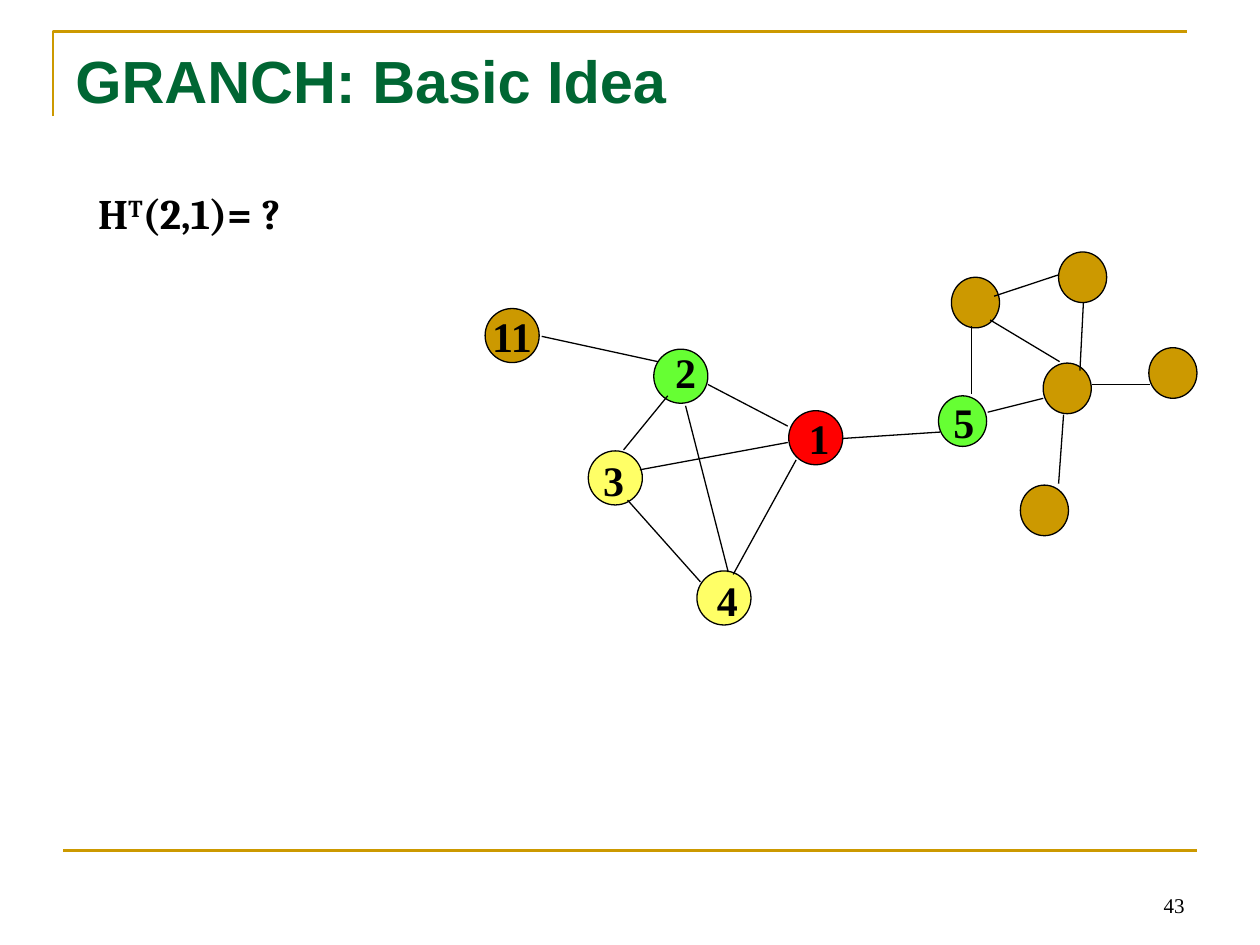
from pptx import Presentation
from pptx.dml.color import RGBColor
from pptx.enum.shapes import MSO_CONNECTOR, MSO_SHAPE
from pptx.enum.text import MSO_ANCHOR, PP_ALIGN
from pptx.oxml.ns import qn
from pptx.util import Cm, Pt
from lxml.etree import SubElement

COLORS = {
    "black": "000000", "gold": "CC9900", "title": "006633",
    "red": "FF0000", "green": "66FF33", "yellow": "FFFF66",
}
LARGE, SMALL = (1.09, 1.09), (0.97, 1.02)
LABEL_SIZE = (0.81, 1.27)
LABEL_FONT = {"name": "Times New Roman", "size": Pt(24), "bold": True}

NODES = [
    (15.9, 8.28, LARGE, "red", ""),
    (9.78, 6.22, LARGE, "gold", "11"),
    (13.18, 7.04, LARGE, "green", ""),
    (11.86, 9.09, LARGE, "yellow", ""),
    (14.05, 11.51, LARGE, "yellow", ""),
    (21.34, 5.08, SMALL, "gold", ""),
    (19.18, 5.59, SMALL, "gold", ""),
    (21.03, 7.32, SMALL, "gold", ""),
    (18.92, 7.98, SMALL, "green", ""),
    (20.57, 9.78, SMALL, "gold", ""),
    (23.16, 7.01, SMALL, "gold", ""),
]
EDGES = [
    (10.92, 6.78, 13.26, 7.29),
    (14.27, 7.75, 15.88, 8.59),
    (14.78, 11.58, 16.05, 9.27),
    (12.65, 10.08, 14.12, 11.73),
    (16.97, 8.84, 18.95, 8.71),
    (19.58, 6.58, 19.58, 7.95),
    (19.91, 8.31, 21.03, 8.03),
    (21.44, 8.36, 21.34, 9.75),
    (22.02, 7.75, 23.19, 7.75),
    (19.96, 6.45, 21.36, 7.29),
    (20.04, 5.97, 21.34, 5.54),
    (12.57, 9.07, 13.46, 7.98),
    (13.82, 8.18, 14.68, 11.53),
    (21.84, 6.1, 21.77, 7.47),
    (15.88, 8.92, 12.9, 9.47),
]
LABELS = {
    "1": (16.05, 8.2),
    "2": (13.36, 6.86),
    "3": (11.91, 9.04),
    "4": (14.2, 11.46),
    "5": (18.97, 7.87),
}


class GraphSlide:
    def __init__(self, slide):
        self.slide = slide
        self.shapes = slide.shapes

    def color(self, name):
        return RGBColor.from_string(COLORS[name])

    def outline(self, line, color, width):
        line.color.rgb = self.color(color)
        line.width = Pt(width)

    def add_words(self, paragraph, text, font, color="black", baseline=None):
        run = paragraph.add_run()
        run.text = text
        for key, value in font.items():
            setattr(run.font, key, value)
        run.font.color.rgb = self.color(color)
        if baseline:
            run.font._element.set("baseline", str(baseline))

    def text(self, left, top, width, height, parts, font, color="black",
             align=PP_ALIGN.LEFT, anchor=MSO_ANCHOR.TOP):
        box = self.shapes.add_textbox(Cm(left), Cm(top), Cm(width), Cm(height))
        frame = box.text_frame
        frame.word_wrap = True
        frame.vertical_anchor = anchor
        paragraph = frame.paragraphs[0]
        paragraph.alignment = align
        for words, baseline in parts:
            self.add_words(paragraph, words, font, color, baseline)

    def node(self, left, top, size, fill, label):
        circle = self.shapes.add_shape(
            MSO_SHAPE.OVAL, Cm(left), Cm(top), *map(Cm, size))
        circle.shadow.inherit = False
        circle.fill.solid()
        circle.fill.fore_color.rgb = self.color(fill)
        self.outline(circle.line, "black", 0.75)
        if label:
            frame = circle.text_frame
            frame.word_wrap = False
            frame.vertical_anchor = MSO_ANCHOR.MIDDLE
            frame.paragraphs[0].alignment = PP_ALIGN.CENTER
            self.add_words(frame.paragraphs[0], label, LABEL_FONT)

    def line(self, ends, color="black", width=0.75):
        edge = self.shapes.add_connector(MSO_CONNECTOR.STRAIGHT, *map(Cm, ends))
        self.outline(edge.line, color, width)
        SubElement(edge._element.spPr, qn("a:effectLst"))

    def corner(self, points, color, width):
        start, *rest = [(Cm(x), Cm(y)) for x, y in points]
        builder = self.shapes.build_freeform(*start)
        builder.add_line_segments(rest, close=False)
        rule = builder.convert_to_shape()
        rule.shadow.inherit = False
        rule.fill.background()
        self.outline(rule.line, color, width)


def main():
    deck = Presentation()
    deck.slide_width, deck.slide_height = Cm(25.4), Cm(19.05)
    graph = GraphSlide(deck.slides.add_slide(deck.slide_layouts[6]))

    graph.corner([(1.07, 2.34), (1.07, 0.64), (23.93, 0.64)], "gold", 1.5)
    graph.line((1.27, 17.15, 24.13, 17.15), "gold", 1.5)
    graph.text(1.27, 0.76, 22.86, 3.18, [("GRANCH: Basic Idea", None)],
               {"name": "Arial", "size": Pt(34), "bold": True}, "title")

    for node in NODES:
        graph.node(*node)
    for edge in EDGES:
        graph.line(edge)
    for label, position in LABELS.items():
        graph.text(*position, *LABEL_SIZE, [(label, None)], LABEL_FONT)

    graph.text(1.73, 3.66, 7.01, 1.27,
               [("H", None), ("T", 30000), ("(2,1)= ?", None)],
               {"name": "Cambria", "size": Pt(24), "bold": True})
    graph.text(18.21, 17.35, 5.92, 1.27, [("43", None)],
               {"name": "Times New Roman", "size": Pt(12)},
               align=PP_ALIGN.RIGHT, anchor=MSO_ANCHOR.BOTTOM)
    deck.save("out.pptx")


if __name__ == "__main__":
    main()
